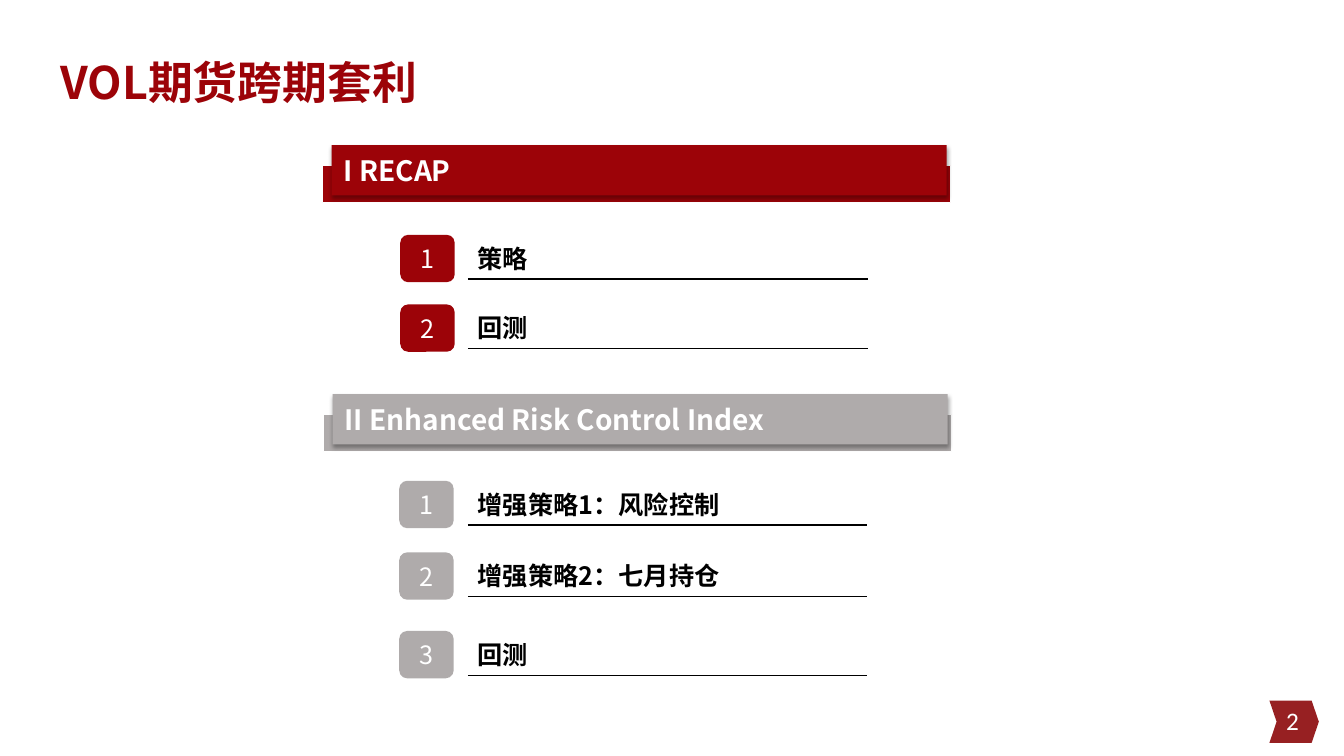
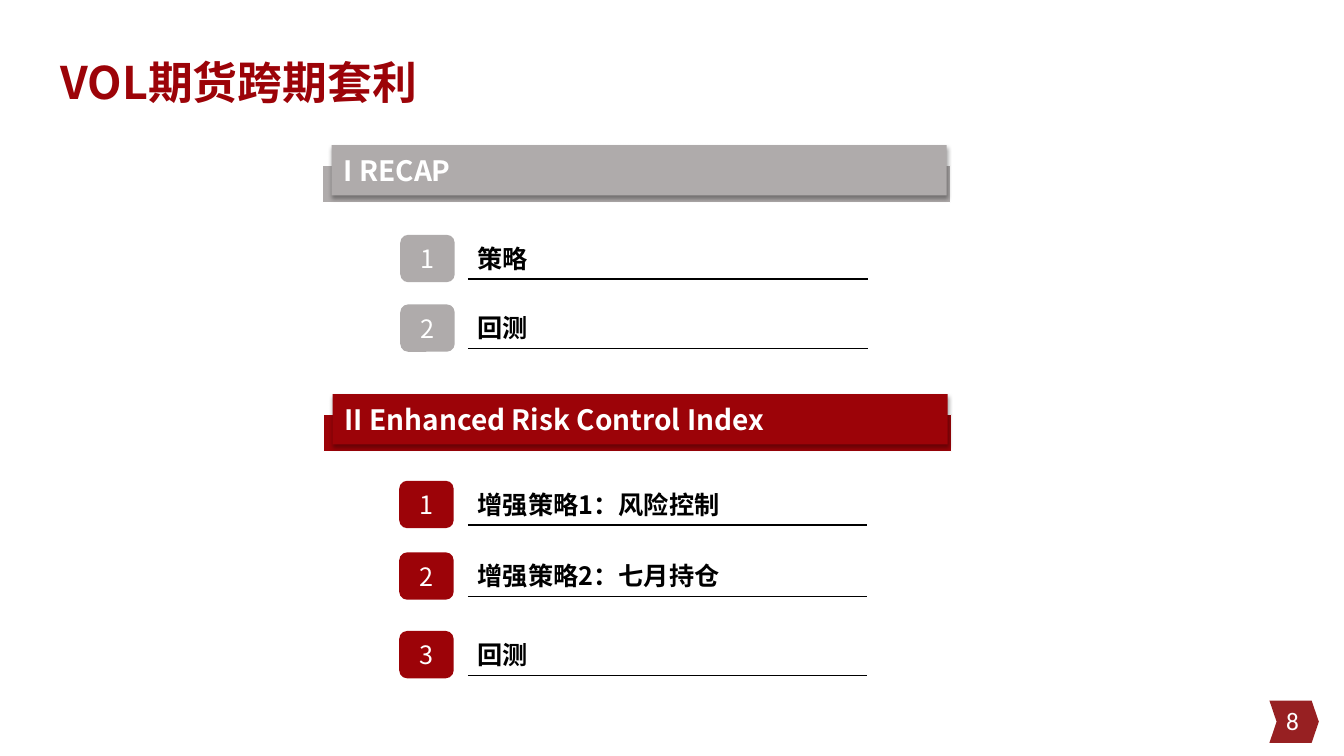
from dataclasses import dataclass
from lxml.etree import SubElement
from pptx import Presentation
from pptx.dml.color import RGBColor as RGB
from pptx.enum.shapes import MSO_CONNECTOR as LINE, MSO_SHAPE as SHAPE
from pptx.enum.text import MSO_ANCHOR as ANCHOR, PP_ALIGN as ALIGN
from pptx.oxml.ns import qn
from pptx.util import Inches, Pt


@dataclass(frozen=True)
class Theme:
    red: RGB = RGB(0x9C, 0x03, 0x08)
    gray: RGB = RGB(0xAF, 0xAB, 0xAB)
    mark: RGB = RGB(0x97, 0x20, 0x22)
    white: RGB = RGB(0xFF, 0xFF, 0xFF)
    black: RGB = RGB(0, 0, 0)
    font: str = "Noto Sans CJK SC"
    page: str = "Calibri"
    title: int = 32
    head: int = 20
    body: int = 18


def block(shapes, kind, x, y, w, h, fill):
    shape = shapes.add_shape(kind, Inches(x), Inches(y), Inches(w), Inches(h))
    shape.shadow.inherit = False
    shape.fill.solid()
    shape.fill.fore_color.rgb = fill
    shape.line.fill.background()
    return shape


def write(shape, text, size, color, bold=False, align=ALIGN.LEFT, anchor=ANCHOR.MIDDLE, face=Theme.font):
    frame = shape.text_frame
    frame.word_wrap = True
    frame.vertical_anchor = anchor
    para = frame.paragraphs[0]
    para.text = text
    para.alignment = align
    font = para.font
    font.size = Pt(size)
    font.bold = bold
    font.color.rgb = color
    font.name = face
    SubElement(para._p.pPr.find(qn("a:defRPr")), qn("a:ea"), typeface=face)
    return para


theme = Theme()
parts = [
    ("I RECAP", 3.2, 1.44, 3.97, 8.61, [(2.33, "策略"), (3.02, "回测")]),
    ("II Enhanced Risk Control Index", 3.21, 3.91, 3.96, 8.6,
     [(4.77, "增强策略1：风险控制"), (5.48, "增强策略2：七月持仓"), (6.26, "回测")]),
]

deck = Presentation()
deck.slide_width = Inches(13.33)
deck.slide_height = Inches(7.5)

for page, active in (("2", 0), ("8", 1)):
    slide = deck.slides.add_slide(deck.slide_layouts[6])
    shapes = slide.shapes

    arrow = block(shapes, SHAPE.CHEVRON, 12.59, 6.95, 0.49, 0.42, theme.mark)
    arrow.adjustments[0] = 0.17
    number = shapes.add_textbox(Inches(9.98), Inches(6.95), Inches(3), Inches(0.4))
    write(number, page, theme.body, theme.white, align=ALIGN.RIGHT, face=theme.page)
    title = shapes.add_textbox(Inches(0.5), Inches(0.42), Inches(11.5), Inches(0.85))
    write(title, "VOL期货跨期套利", theme.title, theme.red, True).line_spacing = 0.9

    for index, (head, left, top, side, end, rows) in enumerate(parts):
        color = theme.red if index == active else theme.gray

        band = shapes.add_group_shape().shapes
        base = block(band, SHAPE.RECTANGLE, left, top + 0.2, 6.23, 0.37, color)
        base.line.color.rgb = theme.white
        base.line.width = Pt(1)
        front = block(band, SHAPE.RECTANGLE, left + 0.09, top, 6.1, 0.5, color)
        glow = SubElement(front._element.spPr.find(qn("a:effectLst")), qn("a:outerShdw"),
                          blurRad=str(Pt(3.1)), dist=str(Pt(1.8)), dir="5400000", rotWithShape="0")
        tint = SubElement(glow, qn("a:srgbClr"), val=str(theme.black))
        SubElement(tint, qn("a:alpha"), val="35000")
        label = block(band, SHAPE.RECTANGLE, left + 0.11, top + 0.03, 6.06, 0.44, color)
        write(label, head, theme.head, theme.white, True, anchor=ANCHOR.BOTTOM)

        for count, (y, text) in enumerate(rows, 1):
            item = shapes.add_textbox(Inches(4.64), Inches(y + 0.03), Inches(4.87), Inches(0.4))
            write(item, text, theme.body, theme.black, True)
            badge = block(shapes, SHAPE.ROUNDED_RECTANGLE, side, y, 0.54, 0.47, color)
            write(badge, str(count), theme.body, theme.white, align=ALIGN.CENTER)
            rule = shapes.add_connector(LINE.STRAIGHT, Inches(4.64), Inches(y + 0.44), Inches(end), Inches(y + 0.44))
            rule.line.color.rgb = theme.black
            rule.line.width = Pt(1)
            SubElement(rule._element.spPr, qn("a:effectLst"))

deck.save("out.pptx")
